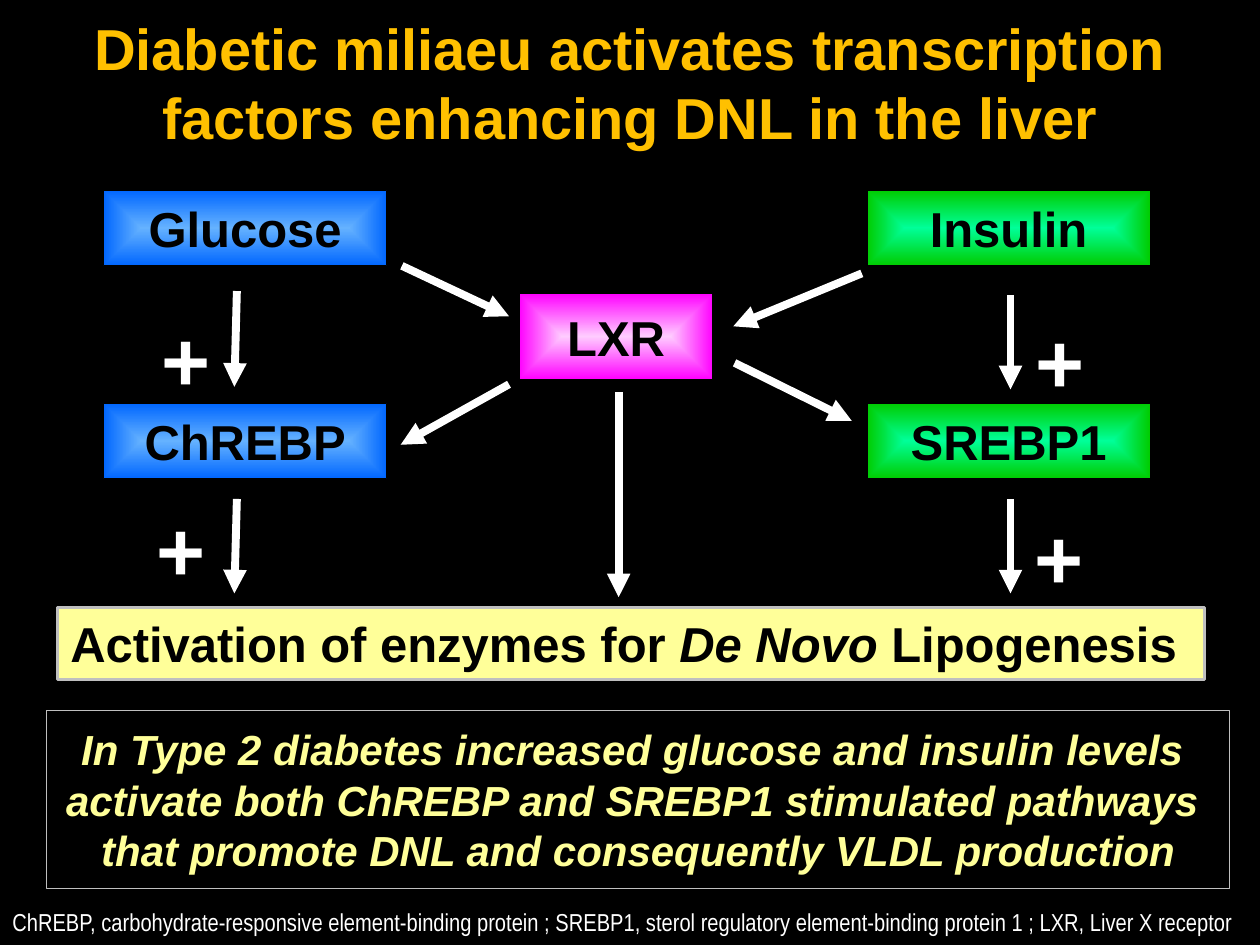
"""Build a slide on how glucose and insulin activate lipogenic transcription factors."""
from lxml import etree
from pptx import Presentation
from pptx.dml.color import RGBColor
from pptx.enum.shapes import MSO_CONNECTOR, MSO_SHAPE
from pptx.enum.text import MSO_ANCHOR, PP_ALIGN
from pptx.oxml.ns import qn
from pptx.util import Inches, Pt

RECT = MSO_SHAPE.RECTANGLE
STRAIGHT = MSO_CONNECTOR.STRAIGHT
TOP, MIDDLE = MSO_ANCHOR.TOP, MSO_ANCHOR.MIDDLE
LEFT, CENTER = PP_ALIGN.LEFT, PP_ALIGN.CENTER

BLACK = RGBColor(0x00, 0x00, 0x00)
WHITE = RGBColor(0xFF, 0xFF, 0xFF)
GOLD = RGBColor(0xFF, 0xC0, 0x00)
CREAM = RGBColor(0xFF, 0xFF, 0x99)
GREY = RGBColor(0xBF, 0xBF, 0xBF)
BLUES = RGBColor(0x65, 0xB2, 0xFF), RGBColor(0x00, 0x66, 0xFF)
GREENS = RGBColor(0x00, 0xFF, 0x99), RGBColor(0x00, 0xCC, 0x00)
PINKS = RGBColor(0xFF, 0xCC, 0xFF), RGBColor(0xFF, 0x00, 0xFF)

FACTORS = [
    ("Glucose", 0.82, 1.51, 2.25, 0.6, BLUES),
    ("ChREBP", 0.82, 3.2, 2.25, 0.6, BLUES),
    ("LXR", 4.12, 2.33, 1.54, 0.68, PINKS),
    ("Insulin", 6.88, 1.51, 2.25, 0.6, GREENS),
    ("SREBP1", 6.88, 3.2, 2.25, 0.6, GREENS),
]
ARROWS = [
    (4.91, 3.11, 4.91, 4.74),
    (1.88, 3.96, 1.86, 4.71),
    (8.02, 3.96, 8.02, 4.71),
    (1.88, 2.31, 1.86, 3.07),
    (8.02, 2.34, 8.02, 3.09),
    (6.84, 2.17, 5.82, 2.59),
    (5.83, 2.88, 6.76, 3.34),
    (3.19, 2.11, 4.04, 2.51),
    (4.04, 3.05, 3.18, 3.53),
]
PLUSES = [(1.18, 2.39), (1.14, 3.9), (8.12, 2.41), (8.11, 3.96)]
SUMMARY = [
    "In Type 2 diabetes increased glucose and insulin levels ",
    "activate both ChREBP and SREBP1 stimulated pathways ",
    "that promote DNL and consequently VLDL production",
]
ABBREVIATIONS = (
    "ChREBP, carbohydrate-responsive element-binding protein ; "
    "SREBP1, sterol regulatory element-binding protein 1 ; LXR, Liver X receptor"
)


def add_run(p, text, size, color, bold=True, italic=False, font="Arial"):
    """Append a formatted run to a paragraph."""
    r = p.add_run()
    r.text = text
    r.font.name = font
    r.font.size = Pt(size)
    r.font.bold = bold
    r.font.italic = italic
    r.font.color.rgb = color


def set_frame(sp, wrap=True, anchor=TOP, align=LEFT):
    """Set wrapping and alignment, and return the first paragraph."""
    tf = sp.text_frame
    tf.word_wrap = wrap
    tf.vertical_anchor = anchor
    p = tf.paragraphs[0]
    p.alignment = align
    return p


def add_box(slide, x, y, w, h, line, width):
    """Add an unfilled rectangle with an outline."""
    sp = slide.shapes.add_shape(RECT, Inches(x), Inches(y), Inches(w), Inches(h))
    sp.shadow.inherit = False
    sp.fill.background()
    sp.line.color.rgb = line
    sp.line.width = Pt(width)
    return sp


def fill_from_center(sp, colors):
    """Fill a shape with a rectangular gradient that spreads from its centre."""
    sp.fill.gradient()
    for stop, color in zip(sp.fill.gradient_stops, colors):
        stop.color.rgb = color
    grad = sp._element.spPr.find(qn("a:gradFill"))
    grad.remove(grad.find(qn("a:lin")))
    shade = etree.SubElement(grad, qn("a:path"), path="shape")
    etree.SubElement(shade, qn("a:fillToRect"), dict.fromkeys("ltrb", "50000"))


def add_factor(slide, name, x, y, w, h, colors):
    """Add a labelled gradient box."""
    sp = add_box(slide, x, y, w, h, BLACK, 0.75)
    fill_from_center(sp, colors)
    add_run(set_frame(sp, False, MIDDLE, CENTER), name, 28, BLACK)


def add_arrow(slide, x1, y1, x2, y2):
    """Add a thick white arrow."""
    c = slide.shapes.add_connector(
        STRAIGHT, Inches(x1), Inches(y1), Inches(x2), Inches(y2))
    c.line.color.rgb = WHITE
    c.line.width = Pt(4.5)
    etree.SubElement(c.line._get_or_add_ln(), qn("a:tailEnd"), type="triangle")
    etree.SubElement(c._element.spPr, qn("a:effectLst"))


def add_label(slide, text, x, y, w, h, size, **style):
    """Add a white text box."""
    sp = slide.shapes.add_textbox(Inches(x), Inches(y), Inches(w), Inches(h))
    add_run(set_frame(sp), text, size, WHITE, **style)


def add_title(slide, text):
    """Place and fill the title placeholder."""
    sp = slide.shapes.title
    sp.left, sp.top = Inches(0), Inches(0.05)
    sp.width, sp.height = Inches(10), Inches(1.21)
    add_run(set_frame(sp, align=CENTER), text, 33, GOLD)


def add_outcome(slide):
    """Add the bar that names the shared outcome."""
    sp = add_box(slide, 0.46, 4.82, 9.1, 0.57, GREY, 1.75)
    sp.fill.solid()
    sp.fill.fore_color.rgb = CREAM
    p = set_frame(sp, wrap=False)
    add_run(p, "Activation of enzymes for ", 28, BLACK)
    add_run(p, "De Novo ", 28, BLACK, italic=True)
    add_run(p, "Lipogenesis", 28, BLACK)


def add_summary(slide):
    """Add the framed conclusion."""
    sp = add_box(slide, 0.37, 5.64, 9.39, 1.41, GREY, 0.75)
    tf = sp.text_frame
    tf.margin_left = tf.margin_right = Inches(0.16)
    tf.margin_top = tf.margin_bottom = 0
    p = set_frame(sp, False, MIDDLE, CENTER)
    for i, text in enumerate(SUMMARY):
        if i:
            p = tf.add_paragraph()
            p.alignment = CENTER
        add_run(p, text, 24, CREAM, italic=True)


def main():
    """Build and save the slide."""
    prs = Presentation()
    prs.slide_width, prs.slide_height = Inches(10), Inches(7.5)
    slide = prs.slides.add_slide(prs.slide_layouts[5])
    slide.background.fill.solid()
    slide.background.fill.fore_color.rgb = BLACK
    add_title(slide, "Diabetic miliaeu activates transcription "
                     "factors enhancing DNL in the liver")
    for factor in FACTORS:
        add_factor(slide, *factor)
    for arrow in ARROWS:
        add_arrow(slide, *arrow)
    for x, y in PLUSES:
        add_label(slide, "+", x, y, 0.7, 0.91, 48)
    add_summary(slide)
    add_outcome(slide)
    add_label(slide, ABBREVIATIONS, 0, 7.15, 10, 0.34, 14,
              bold=False, font="Arial Narrow")
    prs.save("out.pptx")


if __name__ == "__main__":
    main()
